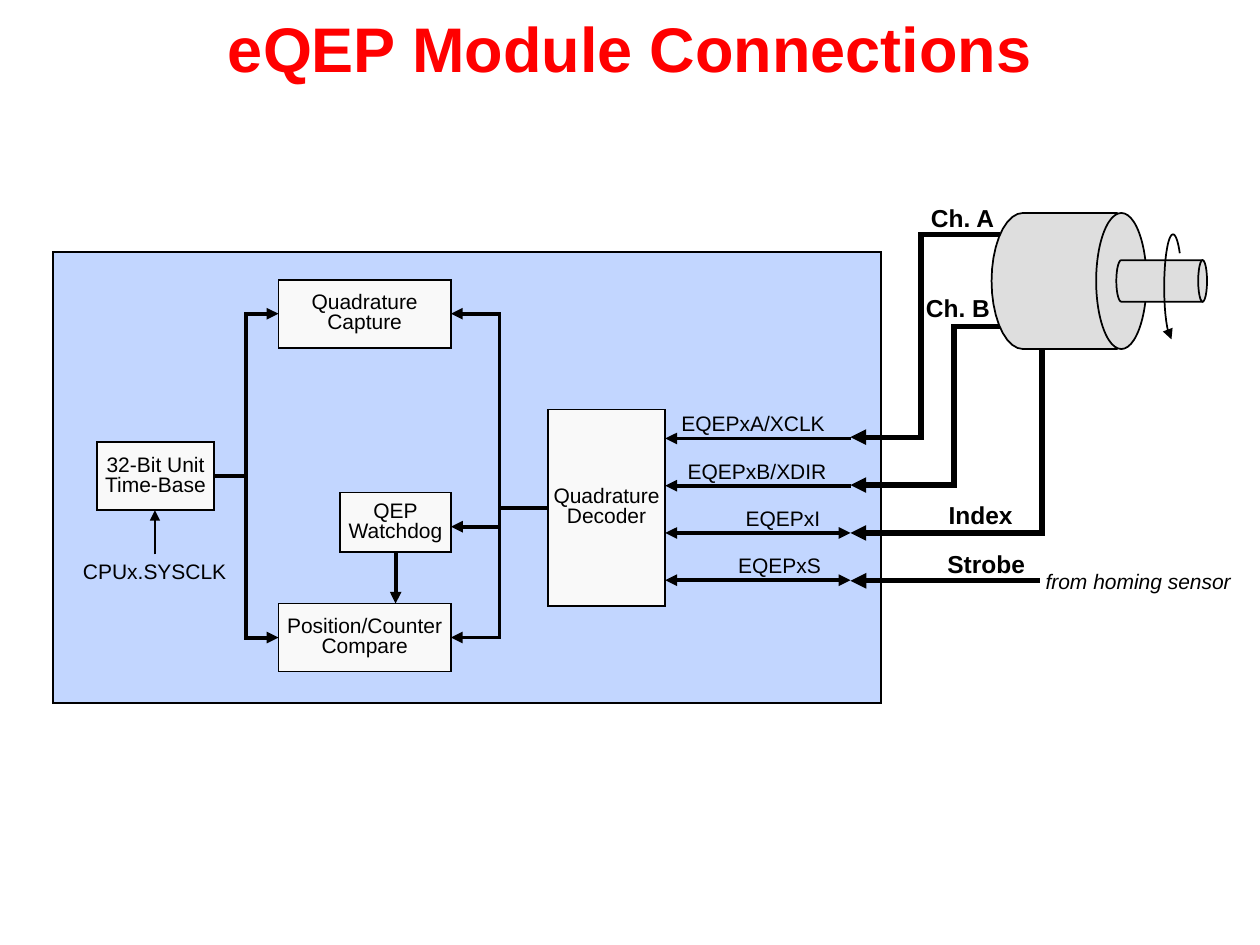
from math import cos, radians, sin

from lxml.etree import SubElement
from pptx import Presentation
from pptx.dml.color import RGBColor
from pptx.enum.shapes import MSO_CONNECTOR, MSO_SHAPE
from pptx.enum.text import MSO_ANCHOR, PP_ALIGN
from pptx.oxml.ns import qn
from pptx.util import Inches, Pt

BLACK = RGBColor(0x00, 0x00, 0x00)
RED = RGBColor(0xFF, 0x00, 0x00)
MODULE_BLUE = RGBColor(0xC2, 0xD6, 0xFF)
BLOCK_WHITE = RGBColor(0xF9, 0xF9, 0xF9)
MOTOR_GRAY = RGBColor(0xDE, 0xDE, 0xDE)

TITLE = {"name": "Arial", "size": Pt(36), "bold": True}
CHANNEL = {"name": "Arial", "size": Pt(14), "bold": True}
LABEL = {"name": "Arial", "size": Pt(12)}
NOTE = {"name": "Arial", "size": Pt(12), "italic": True}


def write(shape, lines, style, color=BLACK, align=PP_ALIGN.CENTER, spacing=0.8):
    frame = shape.text_frame
    frame.word_wrap = False
    frame.vertical_anchor = MSO_ANCHOR.MIDDLE
    for index, line in enumerate(lines):
        para = frame.paragraphs[0] if index == 0 else frame.add_paragraph()
        para.alignment = align
        para.line_spacing = spacing
        span = para.add_run()
        span.text = line
        span.font.color.rgb = color
        for name, value in style.items():
            setattr(span.font, name, value)


def stroke(shape, width, ends=()):
    shape.line.color.rgb = BLACK
    shape.line.width = Pt(width)
    outline = shape.line._get_or_add_ln()
    SubElement(outline, qn("a:miter"), lim="800000")
    for end in ends:
        SubElement(outline, qn(f"a:{end}End"), type="triangle")
    SubElement(shape._element.spPr, qn("a:effectLst"))


deck = Presentation()
deck.slide_width = Inches(10)
deck.slide_height = Inches(7.5)
page = deck.slides.add_slide(deck.slide_layouts[6])
shapes = page.shapes

title = shapes.add_textbox(0, 0, Inches(10), Inches(0.75))
write(title, ["eQEP Module Connections"], TITLE, RED, spacing=1.0)

blocks = [
    (0.42, 2, 6.57, 3.58, MODULE_BLUE, []),
    (4.35, 3.25, 0.93, 1.56, BLOCK_WHITE, ["Quadrature", "Decoder"]),
    (2.21, 4.79, 1.37, 0.54, BLOCK_WHITE, ["Position/Counter", "Compare"]),
    (2.21, 2.22, 1.37, 0.54, BLOCK_WHITE, ["Quadrature", "Capture"]),
    (0.77, 3.51, 0.93, 0.54, BLOCK_WHITE, ["32-Bit Unit", "Time-Base"]),
    (2.7, 3.91, 0.88, 0.47, BLOCK_WHITE, ["QEP", "Watchdog"]),
]
for left, top, width, height, color, lines in blocks:
    block = shapes.add_shape(
        MSO_SHAPE.RECTANGLE, Inches(left), Inches(top), Inches(width), Inches(height)
    )
    block.fill.solid()
    block.fill.fore_color.rgb = color
    stroke(block, 1)
    write(block, lines, LABEL)

labels = [
    ("Ch. A", 7.29, 1.56, 0.7, 0.33, CHANNEL),
    ("Ch. B", 7.25, 2.28, 0.71, 0.33, CHANNEL),
    ("Index", 7.43, 3.92, 0.71, 0.33, CHANNEL),
    ("Strobe", 7.42, 4.31, 0.82, 0.33, CHANNEL),
    ("EQEPxA/XCLK", 5.31, 3.25, 1.34, 0.26, LABEL),
    ("EQEPxB/XDIR", 5.36, 3.63, 1.3, 0.26, LABEL),
    ("EQEPxI", 5.82, 4, 0.8, 0.26, LABEL),
    ("EQEPxS", 5.76, 4.37, 0.86, 0.26, LABEL),
    ("CPUx.SYSCLK", 0.56, 4.42, 1.35, 0.26, LABEL),
    ("from homing sensor", 8.2, 4.5, 1.67, 0.26, NOTE),
]
for text, left, top, width, height, style in labels:
    box = shapes.add_textbox(Inches(left), Inches(top), Inches(width), Inches(height))
    spacing = 1.0 if style is CHANNEL else 0.8
    write(box, [text], style, align=PP_ALIGN.LEFT, spacing=spacing)

straight_wires = [
    (3.97, 4.18, 3.58, 4.18, 2.25, ["tail"]),
    (3.14, 4.38, 3.14, 4.79, 2.25, ["tail"]),
    (1.23, 4.4, 1.23, 4.05, 1, ["tail"]),
    (8.25, 4.61, 6.75, 4.61, 3, ["tail"]),
]
for index, ends in enumerate([["tail"], ["tail"], ["head", "tail"], ["head", "tail"]]):
    y = 3.48 + 0.375 * index
    straight_wires.append((6.75, y, 5.28, y, 2.25, ends))
for x1, y1, x2, y2, width, ends in straight_wires:
    wire = shapes.add_connector(
        MSO_CONNECTOR.STRAIGHT, Inches(x1), Inches(y1), Inches(x2), Inches(y2)
    )
    stroke(wire, width, ends)

bent_wires = [
    (4.35, 4.03, 3.58, 2.49, 2.25, 50000),
    (4.35, 4.03, 3.58, 5.06, 2.25, 50000),
    (1.7, 3.78, 2.21, 2.49, 2.25, 50000),
    (1.7, 3.78, 2.21, 5.06, 2.25, 50000),
    (7.94, 1.86, 6.75, 3.47, 3, 52900),
    (7.94, 2.59, 6.75, 3.85, 3, 31000),
    (8.26, 2.75, 6.75, 4.23, 3, -700),
]
for x1, y1, x2, y2, width, bend in bent_wires:
    wire = shapes.add_connector(
        MSO_CONNECTOR.ELBOW, Inches(x1), Inches(y1), Inches(x2), Inches(y2)
    )
    guides = wire._element.spPr.find(qn("a:prstGeom")).get_or_add_avLst()
    SubElement(guides, qn("a:gd"), name="adj1", fmla=f"val {bend}")
    stroke(wire, width, ["tail"])

cylinders = [
    (8.12, 2.23, 0.25, 0.54, 8.87, 8.7, 0.4),
    (8.9, 2.23, 0.04, 0.165, 9.55, 9.51, 0.07),
]
for center_x, center_y, radius_x, radius_y, right, face_left, face_width in cylinders:
    points = [(right, center_y - radius_y)]
    for angle in range(90, 271, 10):
        turn = radians(angle)
        points.append((center_x + radius_x * cos(turn), center_y - radius_y * sin(turn)))
    points.append((right, center_y + radius_y))
    corners = [(Inches(x), Inches(y)) for x, y in points]
    builder = shapes.build_freeform(*corners[0])
    builder.add_line_segments(corners[1:], close=False)
    body = builder.convert_to_shape()
    face = shapes.add_shape(
        MSO_SHAPE.OVAL, Inches(face_left), Inches(center_y - radius_y),
        Inches(face_width), Inches(2 * radius_y),
    )
    for part in (body, face):
        part.fill.solid()
        part.fill.fore_color.rgb = MOTOR_GRAY
        stroke(part, 1)

turns = [radians(angle) for angle in range(260, 39, -5)]
arc = [(Inches(9.31 + 0.07 * cos(turn)), Inches(2.28 - 0.42 * sin(turn))) for turn in turns]
builder = shapes.build_freeform(*arc[0])
builder.add_line_segments(arc[1:], close=False)
rotation = builder.convert_to_shape()
rotation.fill.background()
stroke(rotation, 1, ["head"])

deck.save("out.pptx")
